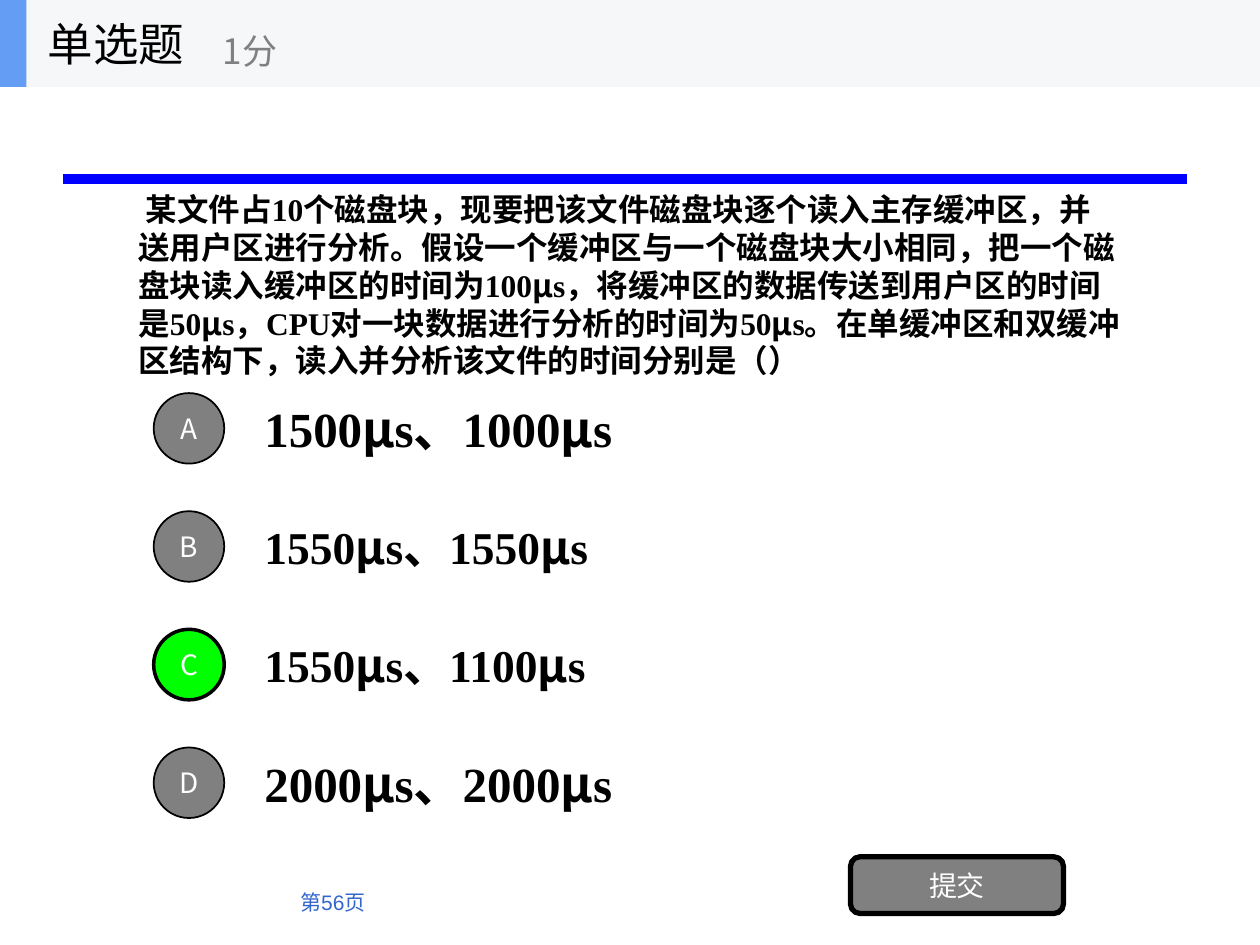
from pptx import Presentation
from pptx.dml.color import RGBColor
from pptx.enum.shapes import MSO_CONNECTOR, MSO_SHAPE
from pptx.enum.text import MSO_ANCHOR, MSO_AUTO_SIZE, PP_ALIGN
from pptx.oxml.ns import qn
from pptx.util import Inches, Pt
from lxml.etree import SubElement

CHINESE = "Noto Sans CJK SC"
GREEK = "Noto Sans CJK KR"
TIMES = "Times New Roman"


def write(shape, text, size, color="000000", font=CHINESE, bold=False,
          align=PP_ALIGN.LEFT, anchor=MSO_ANCHOR.MIDDLE):
    """Fill the shape with one paragraph, giving each μ its own run and font."""
    frame = shape.text_frame
    frame.word_wrap = True
    frame.auto_size = MSO_AUTO_SIZE.NONE
    frame.vertical_anchor = anchor
    paragraph = frame.paragraphs[0]
    paragraph.alignment = align
    for index, part in enumerate(text.replace("μ", "|μ|").split("|")):
        run = paragraph.add_run()
        run.text = part
        run.font.size = Pt(size)
        run.font.bold = bold
        run.font.color.rgb = RGBColor.from_string(color)
        is_greek = index % 2 == 1
        run.font.name = GREEK if is_greek else font
        east_asian = SubElement(run.font._element, qn("a:ea"))
        east_asian.set("typeface", GREEK if is_greek else CHINESE)
    return paragraph


def add_box(kind, left, top, width, height, fill, line_width=0):
    shape = slide.shapes.add_shape(kind, Inches(left), Inches(top), Inches(width), Inches(height))
    shape.shadow.inherit = False
    shape.fill.solid()
    shape.fill.fore_color.rgb = RGBColor.from_string(fill)
    if line_width:
        shape.line.color.rgb = RGBColor.from_string("000000")
        shape.line.width = Pt(line_width)
    else:
        shape.line.fill.background()
    frame = shape.text_frame
    frame.margin_left = frame.margin_right = frame.margin_top = frame.margin_bottom = 0
    return shape


presentation = Presentation()
presentation.slide_width = Inches(10)
presentation.slide_height = Inches(7.5)
slide = presentation.slides.add_slide(presentation.slide_layouts[5])

# Rule and page number
rule = slide.shapes.add_connector(
    MSO_CONNECTOR.STRAIGHT, Inches(0.5), Inches(1.42), Inches(9.42), Inches(1.42))
rule.line.color.rgb = RGBColor.from_string("0000FF")
rule.line.width = Pt(6)
SubElement(rule.element.spPr, qn("a:effectLst"))

page_number = slide.shapes.add_textbox(Inches(0.47), Inches(6.81), Inches(2.53), Inches(0.5))
write(page_number, "第56页", 12, "3366CC", "Arial", align=PP_ALIGN.RIGHT, anchor=MSO_ANCHOR.BOTTOM)

# Question
question = slide.shapes.add_textbox(Inches(1), Inches(1.09), Inches(8), Inches(2.34))
paragraph = write(
    question,
    "某文件占10个磁盘块，现要把该文件磁盘块逐个读入主存缓冲区，并送用户区进行分析。"
    "假设一个缓冲区与一个磁盘块大小相同，把一个磁盘块读入缓冲区的时间为100μs，"
    "将缓冲区的数据传送到用户区的时间是50μs，CPU对一块数据进行分析的时间为50μs。"
    "在单缓冲区和双缓冲区结构下，读入并分析该文件的时间分别是（）",
    18, font=TIMES, bold=True)
paragraph._p.get_or_add_pPr().set("indent", str(Inches(0.06)))

# Answers, with the correct one marked in green
answers = [
    ("A", "1500μs、1000μs", 28),
    ("B", "1550μs、1550μs", 26),
    ("C", "1550μs、1100μs", 26),
    ("D", "2000μs、2000μs", 28),
]
for row, (letter, answer, size) in enumerate(answers):
    top = 3.05 + row * 0.9375
    answer_box = slide.shapes.add_textbox(Inches(2), Inches(top), Inches(7), Inches(0.7))
    write(answer_box, answer, size, font=TIMES, bold=True)
    correct = letter == "C"
    badge = add_box(MSO_SHAPE.OVAL, 1.22, top + 0.07, 0.56, 0.56,
                    "00FF00" if correct else "808080", 2 if correct else 1)
    write(badge, letter, 16, "FFFFFF", align=PP_ALIGN.CENTER)

submit_button = add_box(MSO_SHAPE.ROUNDED_RECTANGLE, 6.75, 6.8, 1.69, 0.45, "808080", 3)
write(submit_button, "提交", 16, "FFFFFF", align=PP_ALIGN.CENTER)

# Header band, with the title in front of it
add_box(MSO_SHAPE.RECTANGLE, 0, 0, 10, 0.69, "F6F7F8")
accent = add_box(MSO_SHAPE.RECTANGLE, 0, 0, 0.21, 0.69, "639EF4")
title = slide.shapes.title
title.left, title.top, title.width, title.height = Inches(0.28), 0, Inches(2.08), Inches(0.69)
write(title, "单选题", 26)
accent.element.addnext(title.element)
score = slide.shapes.add_textbox(Inches(1.67), Inches(0.12), Inches(2.5), Inches(0.56))
write(score, "1分", 20, "808080")

presentation.save("out.pptx")
